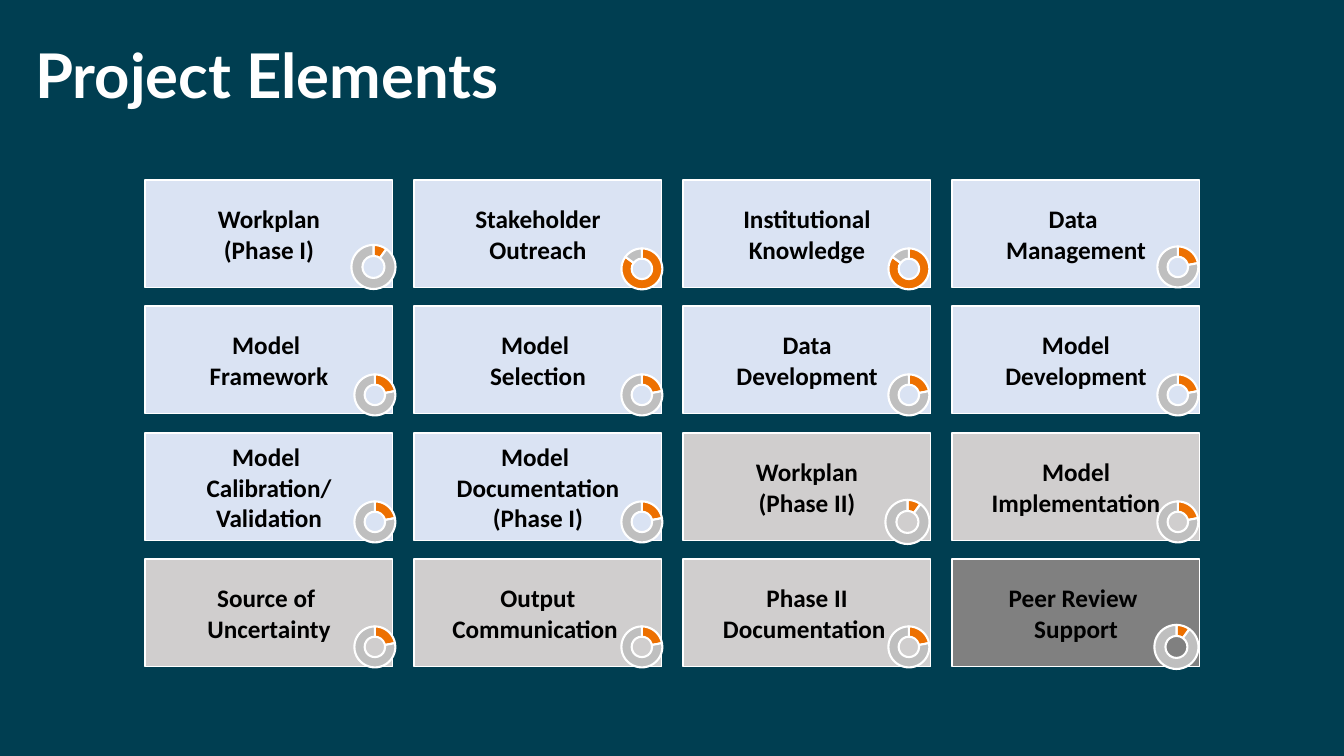
from lxml import etree
from pptx import Presentation
from pptx import util as u
from pptx.chart.data import CategoryChartData
from pptx.dml.color import RGBColor
from pptx.enum import chart as charts, shapes, text
from pptx.oxml import parse_xml
from pptx.oxml.ns import nsdecls, qn

PX = 9071.43  # EMU per px, 100.8 px to the inch

TEAL = RGBColor(0x00, 0x3E, 0x51)
WHITE = RGBColor(0xFF, 0xFF, 0xFF)
BLACK = RGBColor(0x00, 0x00, 0x00)
PALE_BLUE = RGBColor(0xDA, 0xE3, 0xF3)
LIGHT_GREY = RGBColor(0xD0, 0xCE, 0xCE)
DARK_GREY = RGBColor(0x80, 0x80, 0x80)
ORANGE = RGBColor(0xED, 0x70, 0x00)
RING_GREY = RGBColor(0xBF, 0xBF, 0xBF)

# Label, fill and percent done, row by row
ELEMENTS = [
    ("Workplan\n(Phase I)", PALE_BLUE, 10),
    ("Stakeholder Outreach", PALE_BLUE, 85),
    ("Institutional Knowledge", PALE_BLUE, 85),
    ("Data \nManagement", PALE_BLUE, 22),
    ("Model \nFramework", PALE_BLUE, 22),
    ("Model \nSelection", PALE_BLUE, 22),
    ("Data\nDevelopment", PALE_BLUE, 22),
    ("Model\nDevelopment", PALE_BLUE, 22),
    ("Model \nCalibration/ Validation", PALE_BLUE, 22),
    ("Model \nDocumentation\n(Phase I)", PALE_BLUE, 22),
    ("Workplan\n(Phase II)", LIGHT_GREY, 10),
    ("Model Implementation", LIGHT_GREY, 22),
    ("Source of \nUncertainty", LIGHT_GREY, 22),
    ("Output Communication ", LIGHT_GREY, 22),
    ("Phase II Documentation ", LIGHT_GREY, 22),
    ("Peer Review \nSupport", DARK_GREY, 10),
]
COLUMNS = 4
RING_LEFTS = [331, 598, 865, 1134]
RING_TOPS = [231, 359, 486, 611]
# Inner plot area by percent done; the others are laid out automatically
PLOT_AREAS = {22: (0.275, 0.215, 0.483, 0.571), 85: (0.229, 0.173, 0.569, 0.653)}


def box(*lengths):
    """Turn px lengths into EMU."""
    return [u.Emu(round(length * PX)) for length in lengths]


def add_ring(slide, left, top, percent):
    """Add a progress doughnut."""
    if percent == 85:
        frame = box(left + 7, top + 4, 72, 68)
    else:
        frame = box(left, top, 85, 72)
    data = CategoryChartData()
    data.categories = ["1", "2"]
    data.add_series("Series 1", (percent, 100 - percent))
    chart = slide.shapes.add_chart(charts.XL_CHART_TYPE.DOUGHNUT, *frame, data).chart
    chart.has_title = False
    chart.has_legend = False
    chart.font.name = "Calibri"
    chart.font.size = u.Pt(10)
    chart.font.color.rgb = BLACK
    plot = chart.plots[0]
    plot.vary_by_categories = True
    for index, color in enumerate((ORANGE, RING_GREY)):
        style = plot.series[0].points[index].format
        style.fill.solid()
        style.fill.fore_color.rgb = color
        style.line.color.rgb = WHITE
        style.line.width = u.Pt(1.5)

    space = chart._chartSpace
    space.find(".//" + qn("c:holeSize")).set("val", "59")
    space.find(qn("c:chart")).addnext(parse_xml(
        f'<c:spPr {nsdecls("c", "a")}><a:noFill/><a:ln><a:noFill/></a:ln></c:spPr>'))
    if percent in PLOT_AREAS:
        plot_area = space.find(".//" + qn("c:plotArea"))
        layout = plot_area.find(qn("c:layout"))
        if layout is None:
            layout = etree.Element(qn("c:layout"))
            plot_area.insert(0, layout)
        manual = etree.SubElement(layout, qn("c:manualLayout"))
        settings = [("layoutTarget", "inner"), ("xMode", "edge"), ("yMode", "edge")]
        settings += zip("xywh", PLOT_AREAS[percent])
        for tag, value in settings:
            etree.SubElement(manual, qn("c:" + tag)).set("val", str(value))


presentation = Presentation()
presentation.slide_width, presentation.slide_height = box(1344, 756)
slide = presentation.slides.add_slide(presentation.slide_layouts[5])
slide.background.fill.solid()
slide.background.fill.fore_color.rgb = TEAL

title = slide.shapes.title
title.left, title.top, title.width, title.height = box(25, 40, 1290, 146)
title.text_frame.text = "Project Elements"
title.text_frame.auto_size = text.MSO_AUTO_SIZE.NONE
title.text_frame.vertical_anchor = text.MSO_ANCHOR.TOP
paragraph = title.text_frame.paragraphs[0]
paragraph.alignment = text.PP_ALIGN.LEFT
paragraph.line_spacing = 0.9
paragraph.font.name = "Lato"
paragraph.font.size = u.Pt(44)
paragraph.font.bold = True
paragraph.font.color.rgb = WHITE

for index, (label, fill, percent) in enumerate(ELEMENTS):
    row, column = divmod(index, COLUMNS)
    card = slide.shapes.add_shape(
        shapes.MSO_SHAPE.RECTANGLE,
        *box(145 + 269 * column, 180 + 253 * row // 2, 248, 108))
    card.shadow.inherit = False
    card.fill.solid()
    card.fill.fore_color.rgb = fill
    card.line.color.rgb = WHITE
    card.line.width = u.Pt(0.75)
    frame = card.text_frame
    frame.word_wrap = True
    frame.vertical_anchor = text.MSO_ANCHOR.MIDDLE
    frame.margin_left, frame.margin_right = box(14, 14)
    frame.text = label
    for paragraph in frame.paragraphs:
        paragraph.alignment = text.PP_ALIGN.CENTER
        paragraph.font.name = "Calibri"
        paragraph.font.size = u.Pt(18)
        paragraph.font.bold = True
        paragraph.font.color.rgb = BLACK

for index, (label, fill, percent) in enumerate(ELEMENTS):
    row, column = divmod(index, COLUMNS)
    add_ring(slide, RING_LEFTS[column], RING_TOPS[row], percent)

presentation.save("out.pptx")
